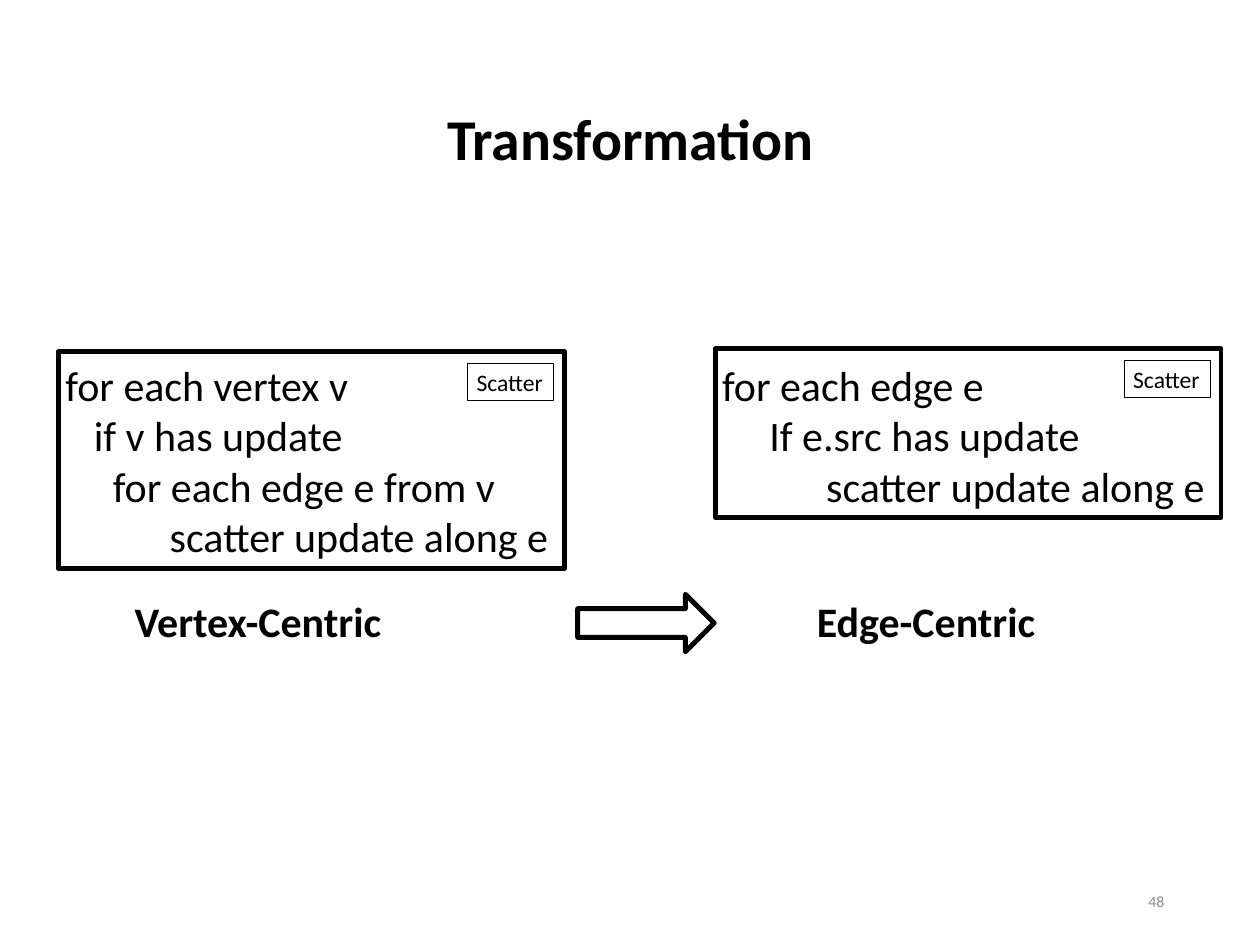
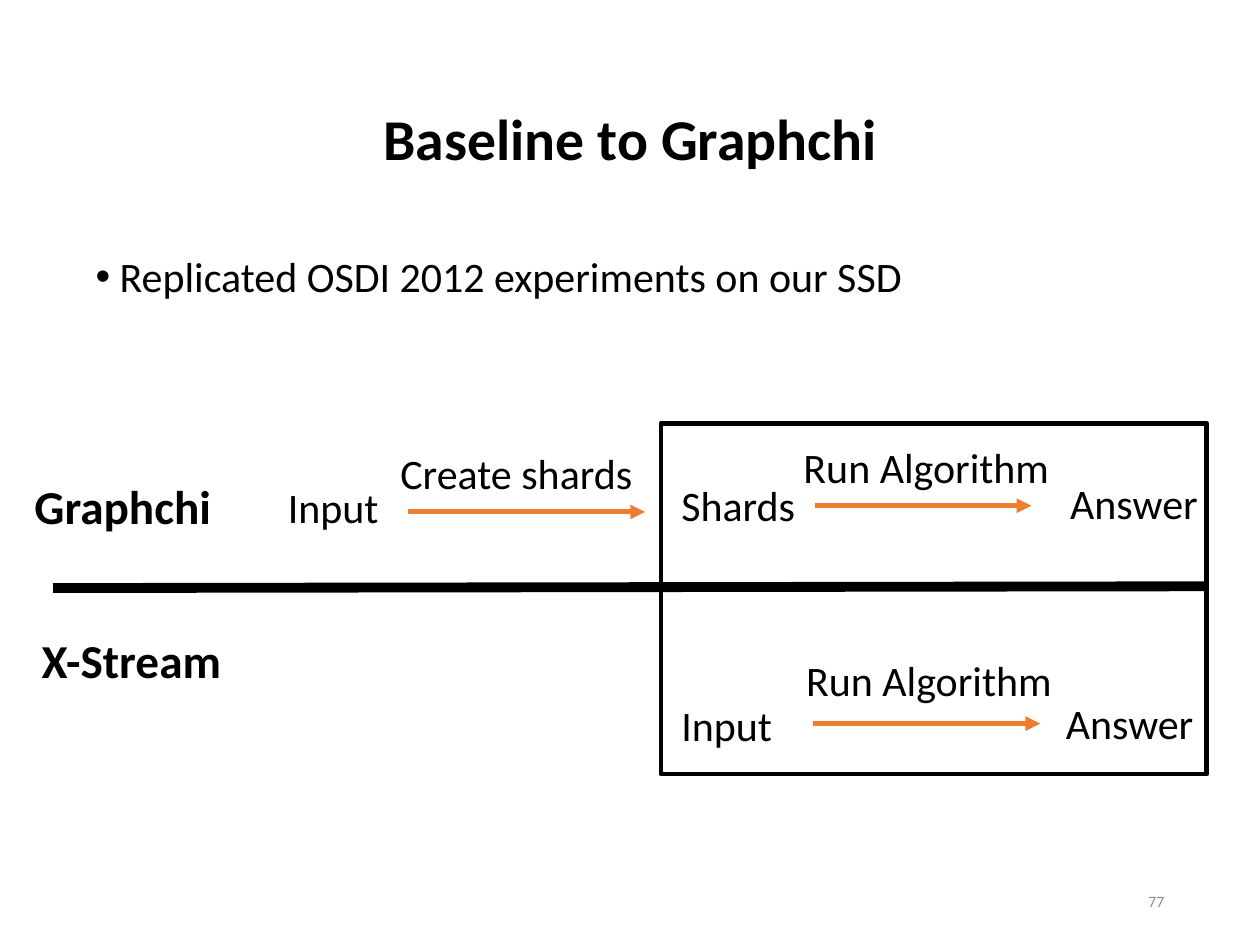
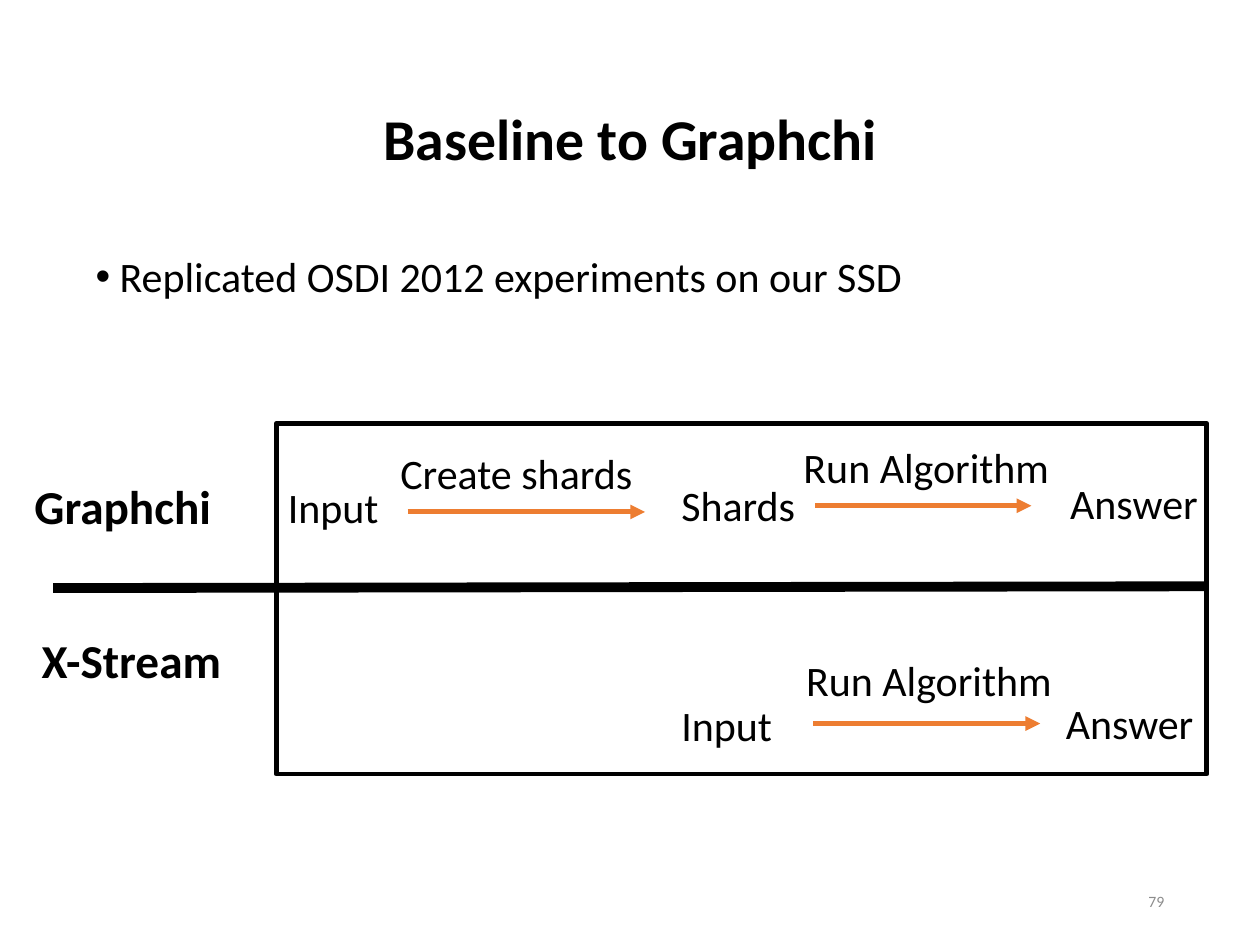
import pptx
import pptx.util
import pptx.dml.color
import pptx.enum.shapes
import pptx.enum.text
import pptx.oxml.ns
import lxml.etree

Inches = pptx.util.Inches
Pt = pptx.util.Pt
RGBColor = pptx.dml.color.RGBColor
MSO_SHAPE = pptx.enum.shapes.MSO_SHAPE
PP_ALIGN = pptx.enum.text.PP_ALIGN
MSO_ANCHOR = pptx.enum.text.MSO_ANCHOR
qn = pptx.oxml.ns.qn

BLACK = RGBColor(0x00, 0x00, 0x00)
GREY = RGBColor(0x8C, 0x8C, 0x8C)
ORANGE = RGBColor(0xED, 0x7D, 0x31)
FONT = "Calibri"

TITLE_SIZE = 46.9
NAME_SIZE = 38.4
TEXT_SIZE = 34.1
TAG_SIZE = 19.2
NUMBER_SIZE = 12.8
HEAVY_LINE = 4

TITLE_BOX = (0.98, 0.57, 12.27, 2.06)
BODY_BOX = (0.98, 2.84, 12.27, 6.77)
NUMBER_BOX = (10.04, 9.89, 3.2, 0.57)
COMPARISON_BOX = (0.29, 4.78, 13.33, 3.96)

LABEL_HEIGHT = 0.68
NAME_HEIGHT = 0.75
CODE_LINE_HEIGHT = 0.58

SYSTEMS = [("Graphchi", 0, 0.56, 2.22), ("X-Stream", 0.08, 2.3, 2.25)]
STEPS = [
    ("Input", 2.86, 0.61, 2.41),
    ("Create shards", 4.13, 0.22, 2.85),
    ("Shards", 7.3, 0.59, 2.41),
    ("Run Algorithm", 8.68, 0.16, 3),
    ("Answer", 11.69, 0.56, 1.73),
    ("Input", 7.3, 3.07, 2.41),
    ("Run Algorithm", 8.71, 2.56, 3),
    ("Answer", 11.64, 3.05, 1.73),
]
STEP_ARROWS = [(4.31, 6.99, 1), (8.91, 11.35, 0.93), (8.89, 11.45, 3.39)]

VERTEX_CODE = [
    "for each vertex v",
    "   if v has update",
    "     for each edge e from v",
    "           scatter update along e",
]
EDGE_CODE = [
    "for each edge e",
    "     If e.src has update",
    "           scatter update along e",
]


def inches(box):
    return [Inches(length) for length in box]


def write(shape, text, size, bold=False, color=BLACK, align=PP_ALIGN.LEFT,
          anchor=MSO_ANCHOR.TOP, spacing=None):
    frame = shape.text_frame
    frame.word_wrap = True
    frame.auto_size = pptx.enum.text.MSO_AUTO_SIZE.NONE
    frame.vertical_anchor = anchor
    frame.text = text
    for paragraph in frame.paragraphs:
        paragraph.alignment = align
        paragraph.space_before = Pt(0)
        if spacing:
            paragraph.line_spacing = spacing
        for run in paragraph.runs:
            run.font.name = FONT
            run.font.size = Pt(size)
            run.font.bold = bold
            run.font.color.rgb = color


def add_label(slide, text, box, size=TEXT_SIZE, **style):
    write(slide.shapes.add_textbox(*inches(box)), text, size, **style)


def add_outline(slide, box, preset=MSO_SHAPE.RECTANGLE, weight=HEAVY_LINE):
    outline = slide.shapes.add_shape(preset, *inches(box))
    outline.shadow.inherit = False
    outline.fill.background()
    outline.line.color.rgb = BLACK
    outline.line.width = Pt(weight)
    return outline


def add_line(slide, start, end, color, weight, arrow=False):
    line = slide.shapes.add_connector(
        pptx.enum.shapes.MSO_CONNECTOR.STRAIGHT, *inches(start + end))
    line.line.color.rgb = color
    line.line.width = Pt(weight)
    if arrow:
        lxml.etree.SubElement(line.line._get_or_add_ln(), qn("a:tailEnd"), type="triangle")
    lxml.etree.SubElement(line._element.spPr, qn("a:effectLst"))


def place(placeholder, box):
    placeholder.left, placeholder.top, placeholder.width, placeholder.height = inches(box)


def add_slide(deck, layout_index, title, number):
    slide = deck.slides.add_slide(deck.slide_layouts[layout_index])
    place(slide.shapes.title, TITLE_BOX)
    write(slide.shapes.title, title, TITLE_SIZE, bold=True, align=PP_ALIGN.CENTER,
          anchor=MSO_ANCHOR.MIDDLE, spacing=0.9)
    add_label(slide, str(number), NUMBER_BOX, NUMBER_SIZE, color=GREY,
              align=PP_ALIGN.RIGHT, anchor=MSO_ANCHOR.MIDDLE)
    return slide


def add_bullet(slide, text, box):
    body = slide.placeholders[1]
    place(body, box)
    write(body, text, TEXT_SIZE, spacing=0.9)
    properties = body.text_frame.paragraphs[0]._p.get_or_add_pPr()
    properties.set("marL", str(Inches(0.27)))
    properties.set("indent", str(-Inches(0.27)))
    lxml.etree.SubElement(properties, qn("a:buChar"), char="•")


def add_code_panel(slide, code, box):
    left, top, width, height = box
    add_outline(slide, box)
    code_height = CODE_LINE_HEIGHT * len(code) + 0.08
    code_top = top + height - 0.01 - code_height
    add_label(slide, "\n".join(code), (left - 0.02, code_top, width, code_height))
    phase = add_outline(slide, (left + 4.62, top + 0.13, 0.97, 0.42), weight=0.75)
    write(phase, "Scatter", TAG_SIZE)


def add_comparison(slide, box, frame_offset):
    left, top, width, height = box
    for text, x, y, step_width in STEPS:
        add_label(slide, text, (left + x, top + y, step_width, LABEL_HEIGHT))
    for start, end, y in STEP_ARROWS:
        add_line(slide, (left + start, top + y), (left + end, top + y),
                 ORANGE, HEAVY_LINE, arrow=True)
    add_line(slide, (left + 0.31, top + 1.86), (left + width, top + 1.84), BLACK, 8)
    for system, x, y, name_width in SYSTEMS:
        add_label(slide, system, (left + x, top + y, name_width, NAME_HEIGHT),
                  NAME_SIZE, bold=True)
    add_outline(slide, (left + frame_offset, top, width - frame_offset, height))


def build_transformation(deck):
    slide = add_slide(deck, 5, "Transformation", 48)
    add_code_panel(slide, VERTEX_CODE, (0.66, 3.97, 5.71, 2.45))
    add_code_panel(slide, EDGE_CODE, (8.07, 3.94, 5.71, 1.9))
    add_outline(slide, (6.52, 6.71, 1.54, 0.65), MSO_SHAPE.RIGHT_ARROW)
    add_label(slide, "Vertex-Centric", (1.42, 6.68, 3.02, LABEL_HEIGHT), bold=True)
    add_label(slide, "Edge-Centric", (9.12, 6.68, 2.7, LABEL_HEIGHT), bold=True)


def build_baseline(deck, number, frame_offset):
    slide = add_slide(deck, 1, "Baseline to Graphchi", number)
    add_bullet(slide, "Replicated OSDI 2012 experiments on our SSD", BODY_BOX)
    add_comparison(slide, COMPARISON_BOX, frame_offset)


def main():
    deck = pptx.Presentation()
    deck.slide_width, deck.slide_height = Inches(14.22), Inches(10.67)
    build_transformation(deck)
    build_baseline(deck, 77, 7.17)
    build_baseline(deck, 79, 2.83)
    deck.save("out.pptx")


if __name__ == "__main__":
    main()
